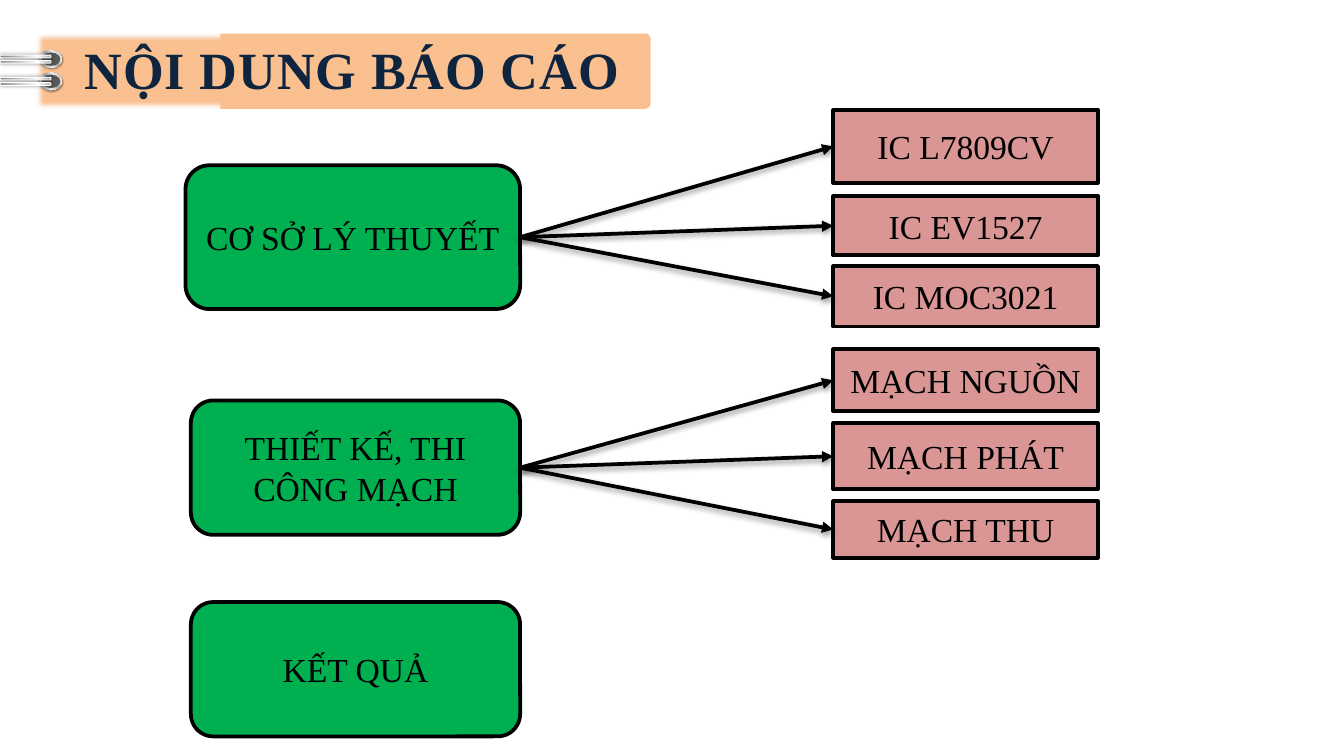
from dataclasses import dataclass

from lxml.etree import SubElement
from pptx import Presentation
from pptx.dml.color import RGBColor
from pptx.enum.shapes import MSO_CONNECTOR as Connector, MSO_SHAPE as Preset
from pptx.enum.text import MSO_ANCHOR as Anchor, MSO_AUTO_SIZE as AutoSize, PP_ALIGN as Align
from pptx.oxml.ns import qn
from pptx.util import Inches, Pt


@dataclass(frozen=True)
class Theme:
    font: str = "Times New Roman"
    title_size: int = 28
    box_size: int = 18
    title: str = "0F243E"
    banner: str = "FAC090"
    topic: str = "00B050"
    detail: str = "D99694"
    ink: str = "000000"
    white: str = "FFFFFF"
    hole: str = "595959"
    line_width: float = 2
    ring: tuple = ((0, "FFFFFF"), (17, "A6A6A6"), (35, "F2F2F2"),
                   (55, "A6A6A6"), (75, "F2F2F2"), (100, "A6A6A6"))
    wire: tuple = ((0, "808080"), (23, "A6A6A6"), (52, "D9D9D9"),
                   (74, "FFFFFF"), (100, "A6A6A6"))


THEME = Theme()

# Grid of 100 columns on a 16:9 slide
CELL = 0.1
COLUMNS, ROWS = 100, 56.25
TOPIC_RIGHT = 38.7
DETAIL_LEFT, DETAIL_WIDTH = 62, 19.7

# Topic: left, top, height, then details as (text, top, height)
OUTLINE = [
    ("CƠ SỞ LÝ THUYẾT", 13.8, 12.3, 10.7,
     [("IC L7809CV", 8.2, 5.4), ("IC EV1527", 14.6, 4.4), ("IC MOC3021", 19.8, 4.5)]),
    ("THIẾT KẾ, THI CÔNG MẠCH", 14.2, 29.8, 10,
     [("MẠCH NGUỒN", 26, 4.6), ("MẠCH PHÁT", 31.5, 4.9), ("MẠCH THU", 37.3, 4.2)]),
    ("KẾT QUẢ", 14.2, 44.8, 10, []),
]


def grid(*cells):
    return [Inches(cell * CELL) for cell in cells]


def apply(target, values):
    for name, value in values.items():
        setattr(target, name, value)


def add_effect(shape, kind, color=None, alpha=0, **lengths):
    effects = SubElement(shape._element.spPr, qn("a:effectLst"))
    effect = SubElement(effects, qn("a:" + kind),
                        {name: str(int(value)) for name, value in lengths.items()})
    if color:
        tint = SubElement(effect, qn("a:srgbClr"), val=color)
        SubElement(tint, qn("a:alpha"), val=str(alpha * 1000))


def add_shadow(shape, alpha, blur, distance, angle):
    add_effect(shape, "outerShdw", THEME.ink, alpha, blurRad=Pt(blur),
               dist=Pt(distance), dir=angle * 60000)


def add_solid(slide, preset, area, color):
    shape = slide.shapes.add_shape(preset, *grid(*area))
    shape.fill.solid()
    shape.fill.fore_color.rgb = RGBColor.from_string(color)
    shape.line.fill.background()
    return shape


def add_turned(slide, preset, area, color, angle):
    # The area is the one covered after a quarter turn
    left, top, width, height = area
    shift = (width - height) / 2
    shape = add_solid(slide, preset, (left + shift, top - shift, height, width), color)
    shape.rotation = angle
    return shape


def set_line(shape, color, width):
    shape.line.color.rgb = RGBColor.from_string(color)
    shape.line.width = Pt(width)


def set_gradient(shape, stops, angle):
    shape.fill.gradient()
    shape.fill.gradient_angle = -angle % 360
    stop_list = shape._element.spPr.find(".//" + qn("a:gsLst"))
    for old in list(stop_list):
        stop_list.remove(old)
    for position, color in stops:
        stop = SubElement(stop_list, qn("a:gs"), pos=str(position * 1000))
        SubElement(stop, qn("a:srgbClr"), val=color)


def write(frame, text, size, color, align, **font):
    frame.text = text
    paragraph = frame.paragraphs[0]
    paragraph.alignment = align
    run = paragraph.runs[0]
    apply(run.font, {"name": THEME.font, "size": Pt(size), **font})
    run.font.color.rgb = RGBColor.from_string(color)
    return run


def add_banner_part(slide, left, width):
    part = add_turned(slide, Preset.ROUND_2_SAME_RECTANGLE,
                      (left, 2.5, width, 5.6), THEME.banner, 90)
    part.adjustments[0] = 0.07
    return part


def add_banner(slide):
    crisp = add_banner_part(slide, 16.4, 32)
    crisp.shadow.inherit = False
    soft = add_banner_part(slide, 2.7, 45.6)
    add_effect(soft, "softEdge", rad=Pt(2.5))


def add_binding(slide, middle):
    ring = add_turned(slide, Preset.OVAL, (2.9, middle - 0.65, 1.7, 1.3), THEME.white, 270)
    set_gradient(ring, THEME.ring, 45)
    add_shadow(ring, 40, 1, 1, 45)
    hole = add_turned(slide, Preset.OVAL, (3.1, middle - 0.5, 1.4, 1), THEME.hole, 270)
    hole.shadow.inherit = False
    for offset in (-0.2, 0.2):
        wire = add_turned(slide, Preset.ROUNDED_RECTANGLE,
                          (0, middle + offset - 0.1, 3.8, 0.2), THEME.white, 270)
        wire.adjustments[0] = 0.5
        set_gradient(wire, THEME.wire, 90)
        set_line(wire, THEME.white, 0.5)
        add_shadow(wire, 40, 2, 0, 0)


def add_title(slide, text):
    title = slide.shapes.title
    apply(title, dict(zip(("left", "top", "width", "height"), grid(5.3, 2.3, 48.8, 5.7))))
    apply(title.text_frame, {"vertical_anchor": Anchor.TOP, "word_wrap": True,
                             "auto_size": AutoSize.NONE})
    run = write(title.text_frame, text, THEME.title_size, THEME.title,
                Align.JUSTIFY, bold=True)
    run.font._element.set("spc", "50")
    # Bring the title in front of the banner
    slide.shapes._spTree.append(title._element)


def add_box(slide, preset, area, text, color):
    box = add_solid(slide, preset, area, color)
    set_line(box, THEME.ink, THEME.line_width)
    box.shadow.inherit = False
    apply(box.text_frame, {"word_wrap": True, "vertical_anchor": Anchor.MIDDLE,
                           "margin_left": Inches(0.05), "margin_right": Inches(0.05)})
    write(box.text_frame, text, THEME.box_size, THEME.ink, Align.CENTER)
    return box


def add_arrow(slide, topic, detail):
    arrow = slide.shapes.add_connector(Connector.STRAIGHT, 0, 0, 0, 0)
    arrow.begin_connect(topic, 3)
    arrow.end_connect(detail, 1)
    set_line(arrow, THEME.ink, THEME.line_width)
    SubElement(arrow.line._get_or_add_ln(), qn("a:tailEnd"), type="triangle")
    add_shadow(arrow, 38, 3.1, 1.6, 90)


def main():
    deck = Presentation()
    deck.slide_width, deck.slide_height = grid(COLUMNS, ROWS)
    slide = deck.slides.add_slide(deck.slide_layouts[5])

    # Heading
    add_banner(slide)
    for middle in (4.4, 6.05):
        add_binding(slide, middle)
    add_title(slide, "NỘI DUNG BÁO CÁO")

    # Topics with their details
    for text, left, top, height, details in OUTLINE:
        topic = add_box(slide, Preset.ROUNDED_RECTANGLE,
                        (left, top, TOPIC_RIGHT - left, height), text, THEME.topic)
        for name, detail_top, detail_height in details:
            detail = add_box(slide, Preset.RECTANGLE,
                             (DETAIL_LEFT, detail_top, DETAIL_WIDTH, detail_height),
                             name, THEME.detail)
            add_arrow(slide, topic, detail)

    deck.save("out.pptx")


if __name__ == "__main__":
    main()
